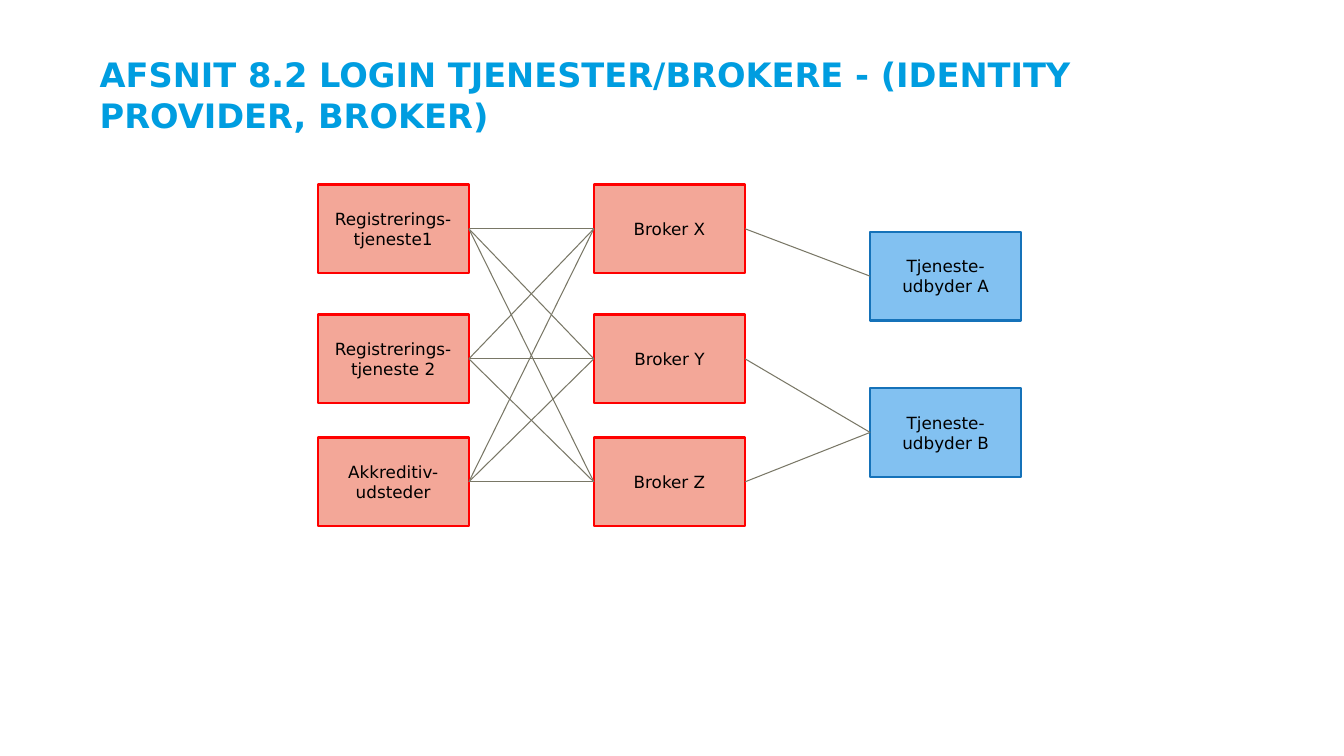
from dataclasses import dataclass
from itertools import product

from lxml import etree
from pptx import Presentation
from pptx import util as u
from pptx.dml.color import RGBColor
from pptx.enum import shapes, text
from pptx.oxml import ns

RED = RGBColor(0xFF, 0x00, 0x00)
ROSE = RGBColor(0xF3, 0xA7, 0x98)
BLUE = RGBColor(0x15, 0x72, 0xB9)
SKY = RGBColor(0x82, 0xC1, 0xF1)
GREY = RGBColor(0x79, 0x77, 0x66)
CYAN = RGBColor(0x00, 0x9D, 0xE0)
BLACK = RGBColor(0x00, 0x00, 0x00)

FONT = "DejaVu Sans"
WIDTH, HEIGHT = 1.5, 0.88
LEFT, RIGHT = 1, 3
ROWS = (1.83, 3.12, 4.34)


@dataclass(frozen=True)
class Column:
    left: float
    tops: tuple[float, ...]
    names: tuple[str, ...]
    fill: RGBColor
    edge: RGBColor


SOURCES = Column(
    3.15, ROWS,
    ("Registrerings-tjeneste1", "Registrerings-tjeneste 2", "Akkreditiv-udsteder"),
    ROSE, RED,
)
BROKERS = Column(5.89, ROWS, ("Broker X", "Broker Y", "Broker Z"), ROSE, RED)
USERS = Column(8.63, (2.3, 3.85), ("Tjeneste-udbyder A", "Tjeneste-udbyder B"), SKY, BLUE)
LINKS = ((0, 0), (1, 1), (2, 1))  # broker row, user row


def write(shape, words: str, size: int, color: RGBColor, bold: bool, frame: dict) -> None:
    """Put one formatted run in the shape and apply the frame settings."""
    for key, value in frame.items():
        setattr(shape.text_frame, key, value)
    run = shape.text_frame.paragraphs[0].add_run()
    run.text = words
    style = {"name": FONT, "size": u.Pt(size), "bold": bold}
    for key, value in style.items():
        setattr(run.font, key, value)
    run.font.color.rgb = color


def draw(slide, column: Column) -> list:
    """Draw the boxes of a column from top to bottom."""
    frame = {
        "word_wrap": True,
        "vertical_anchor": text.MSO_ANCHOR.MIDDLE,
        "margin_left": u.Inches(0.13),
        "margin_right": u.Inches(0.13),
        "margin_top": u.Inches(0.07),
        "margin_bottom": u.Inches(0.07),
    }
    boxes = []
    for top, name in zip(column.tops, column.names):
        box = slide.shapes.add_shape(
            shapes.MSO_SHAPE.RECTANGLE,
            u.Inches(column.left), u.Inches(top), u.Inches(WIDTH), u.Inches(HEIGHT),
        )
        box.shadow.inherit = False
        box.fill.solid()
        box.fill.fore_color.rgb = column.fill
        box.line.color.rgb = column.edge
        box.line.width = u.Pt(1.5)
        write(box, name, 12, BLACK, False, frame)
        box.text_frame.paragraphs[0].alignment = text.PP_ALIGN.CENTER
        boxes.append(box)
    return boxes


def join(slide, start, end) -> None:
    """Link the right side of one box to the left side of another."""
    line = slide.shapes.add_connector(
        shapes.MSO_CONNECTOR.STRAIGHT,
        start.left + start.width, start.top + start.height // 2,
        end.left, end.top + end.height // 2,
    )
    line.begin_connect(start, RIGHT)
    line.end_connect(end, LEFT)
    line.line.color.rgb = GREY
    line.line.width = u.Pt(0.75)
    etree.SubElement(line._element.spPr, ns.qn("a:effectLst"))


def main() -> None:
    deck = Presentation()
    deck.slide_width, deck.slide_height = u.Inches(13.33), u.Inches(7.5)
    slide = deck.slides.add_slide(deck.slide_layouts[6])

    sources, brokers, users = (draw(slide, col) for col in (SOURCES, BROKERS, USERS))
    for source, broker in product(sources, brokers):
        join(slide, source, broker)
    for broker, user in LINKS:
        join(slide, brokers[broker], users[user])

    title = slide.shapes.add_textbox(
        u.Inches(0.89), u.Inches(0.49), u.Inches(11.55), u.Inches(0.82)
    )
    write(
        title, "AFSNIT 8.2 LOGIN TJENESTER/BROKERE - (IDENTITY PROVIDER, BROKER)",
        24, CYAN, True, {"word_wrap": True, "margin_top": u.Inches(0.05)},
    )
    deck.save("out.pptx")


if __name__ == "__main__":
    main()
